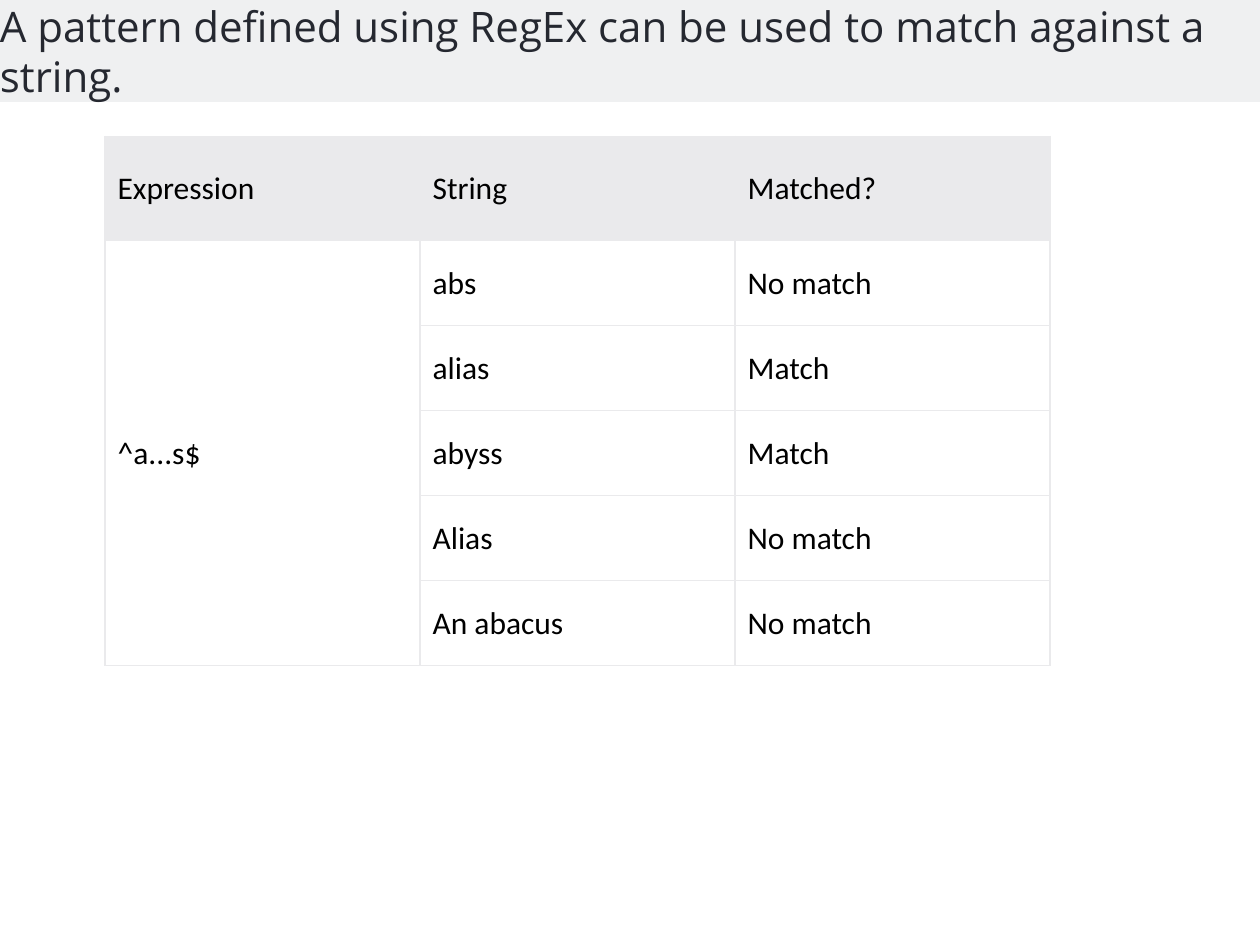
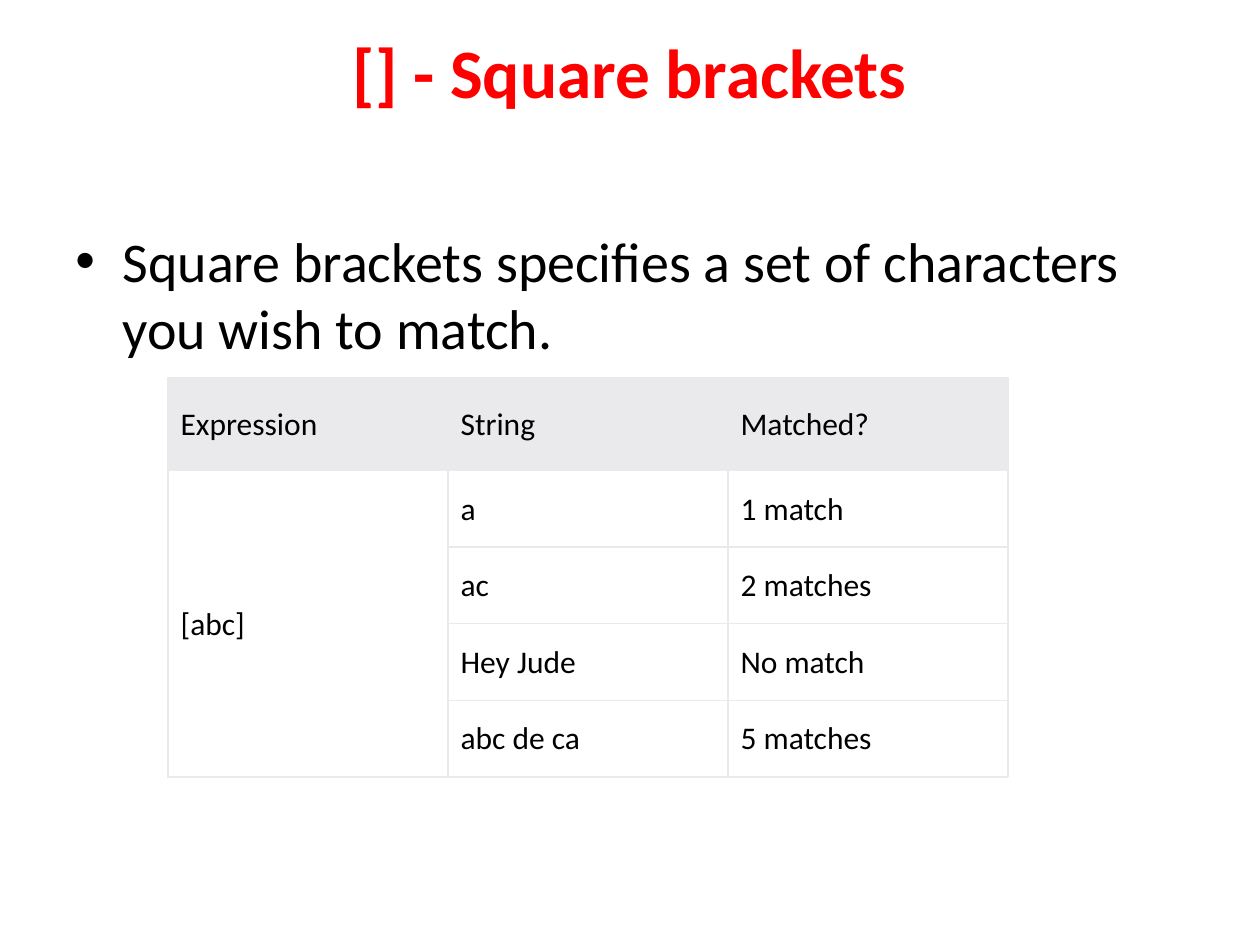
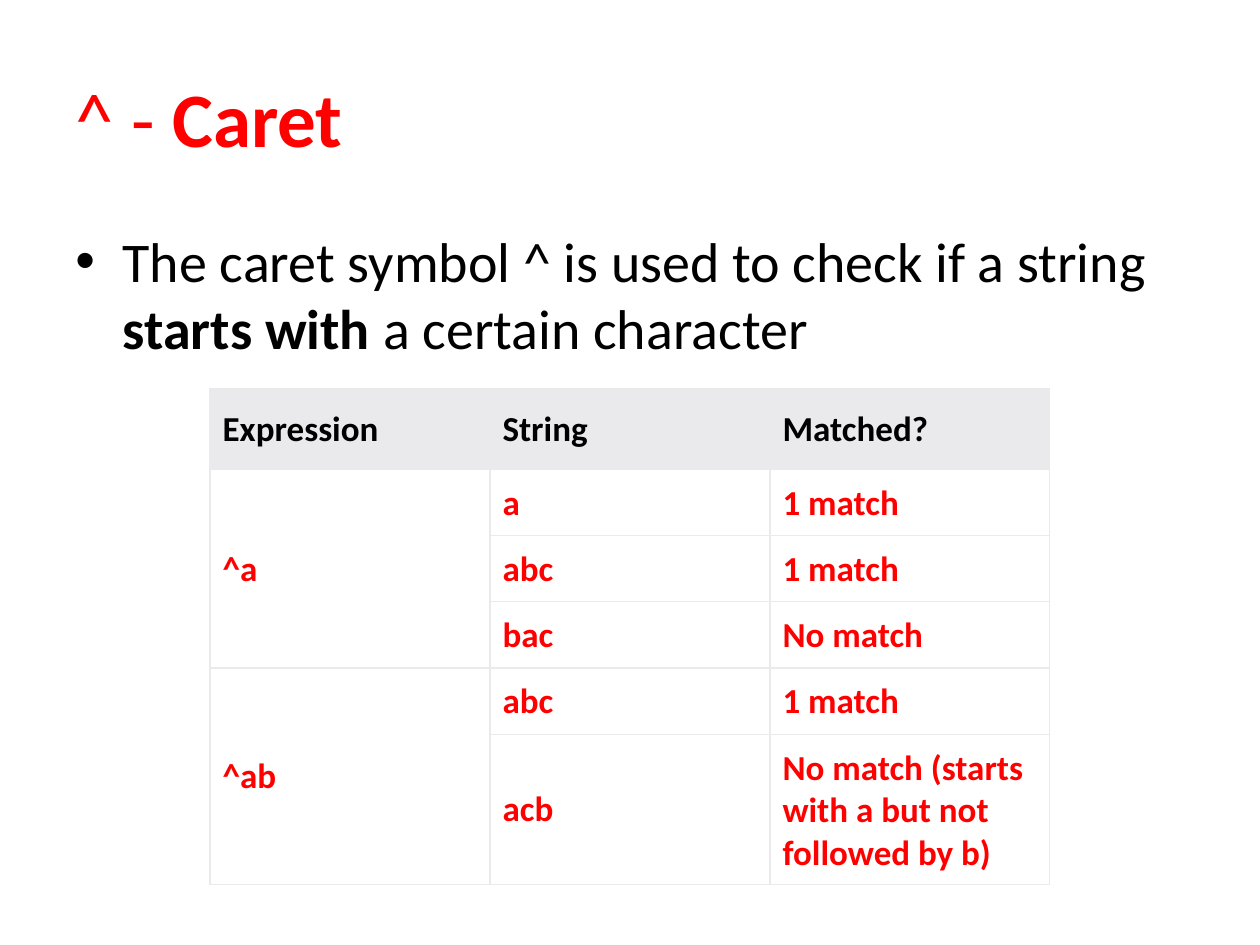
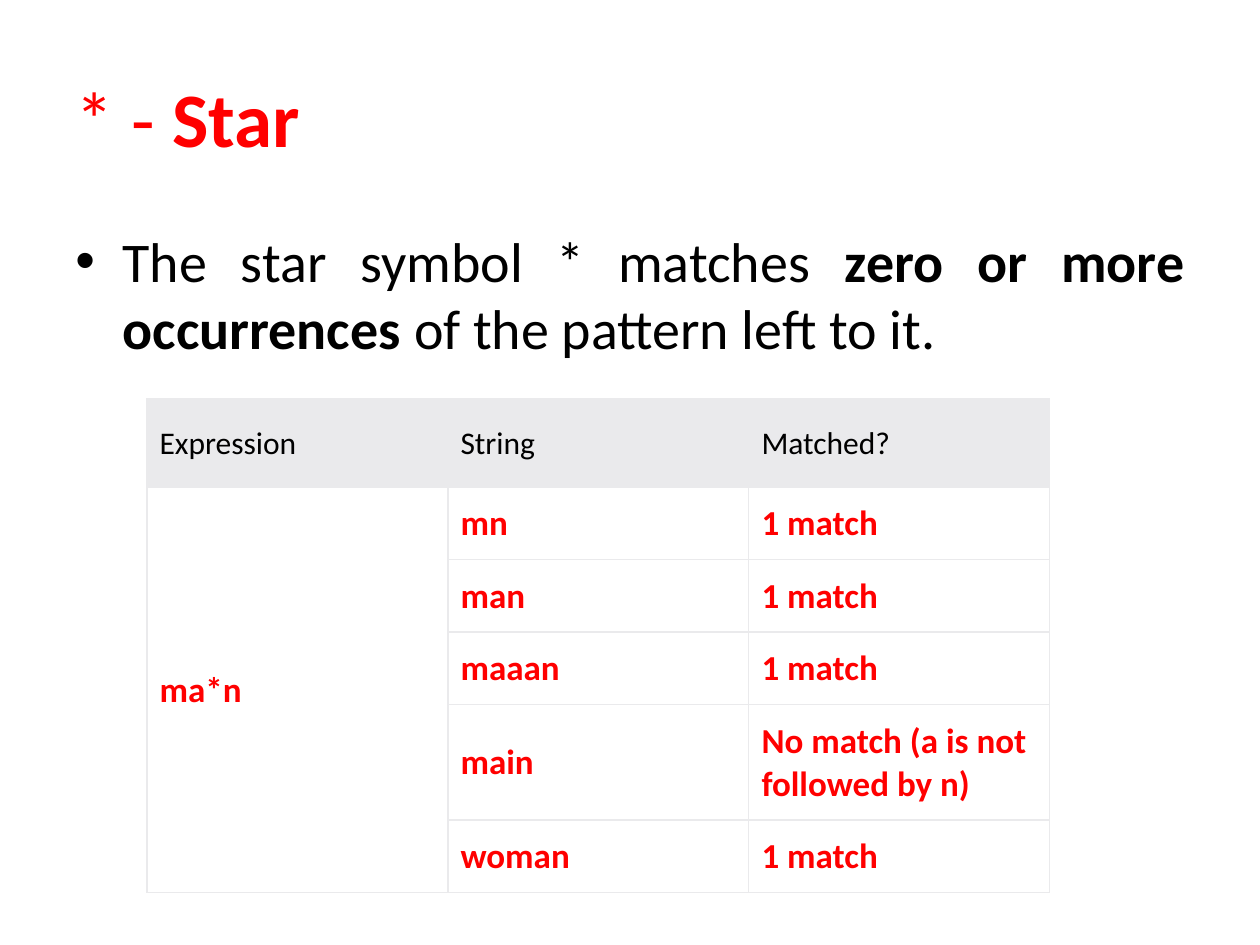
import pptx
import pptx.dml.color
import pptx.enum.shapes
import pptx.enum.text
import pptx.oxml.ns
import pptx.util
from lxml import etree

RGBColor = pptx.dml.color.RGBColor
Align = pptx.enum.text.PP_ALIGN
Anchor = pptx.enum.text.MSO_ANCHOR

BLACK = RGBColor(0x00, 0x00, 0x00)
WHITE = RGBColor(0xFF, 0xFF, 0xFF)
RED = RGBColor(0xFF, 0x00, 0x00)
GRID = RGBColor(0xEA, 0xEA, 0xEC)
BAND = RGBColor(0xEF, 0xF0, 0xF1)
INK = RGBColor(0x25, 0x28, 0x30)

PX = 7620  # 120 px to the inch
PAGE_WIDTH, PAGE_HEIGHT = 1200, 900
TITLE_ONLY, BLANK = 5, 6
HEADER = ("Expression", "String", "Matched?")
HEADER_MARGINS = (12, 19, 10, 18)
BODY_MARGINS = (12, 12, 10, 11)


def px(length):
    return pptx.util.Emu(round(length * PX))


def add_element(parent, tag, **attributes):
    return etree.SubElement(parent, pptx.oxml.ns.qn(tag), attributes)


def set_margins(target, left, top, right, bottom):
    target.margin_left, target.margin_top = px(left), px(top)
    target.margin_right, target.margin_bottom = px(right), px(bottom)


class Lesson:
    """Holds the deck, its style and the current page."""

    font = "Calibri"

    def __init__(self):
        self.deck = pptx.Presentation()
        self.deck.slide_width = px(PAGE_WIDTH)
        self.deck.slide_height = px(PAGE_HEIGHT)
        self.page = None

    def new_page(self, layout=TITLE_ONLY):
        self.page = self.deck.slides.add_slide(self.deck.slide_layouts[layout])

    def add_spans(self, para, spans, size, color, font=font):
        """Add (text, bold) spans to a paragraph."""
        for text, bold in spans:
            span = para.add_run()
            span.text = text
            span.font.name = font
            span.font.size = pptx.util.Pt(size)
            span.font.bold = bold
            span.font.color.rgb = color

    def title(self, spans, size=44, align=Align.LEFT):
        box = self.page.shapes.title
        box.left, box.top, box.width, box.height = px(60), px(36), px(1080), px(150)
        frame = box.text_frame
        frame.auto_size = pptx.enum.text.MSO_AUTO_SIZE.NONE
        frame.vertical_anchor = Anchor.MIDDLE
        para = frame.paragraphs[0]
        para.alignment = align
        self.add_spans(para, spans, size, RED)
        return para

    def bullet(self, spans, width=1080, height=160, align=Align.LEFT):
        box = self.page.shapes.add_textbox(px(60), px(210), px(width), px(height))
        box.text_frame.word_wrap = True
        para = box.text_frame.paragraphs[0]
        para.alignment = align
        para.space_before = pptx.util.Pt(6.4)
        self.add_spans(para, spans, 32, BLACK)
        properties = para._p.get_or_add_pPr()
        properties.set("marL", str(px(45)))
        properties.set("indent", str(px(-45)))
        add_element(properties, "a:buFont", typeface="Arial")
        add_element(properties, "a:buChar", char="•")

    def band(self, text, height):
        box = self.page.shapes.add_shape(
            pptx.enum.shapes.MSO_SHAPE.RECTANGLE, 0, 0, px(PAGE_WIDTH), px(height))
        box.shadow.inherit = False
        box.fill.solid()
        box.fill.fore_color.rgb = BAND
        box.line.fill.background()
        frame = box.text_frame
        frame.word_wrap = True
        frame.vertical_anchor = Anchor.MIDDLE
        set_margins(frame, 0, 0, 0, 0)
        frame.paragraphs[0].alignment = Align.LEFT
        self.add_spans(frame.paragraphs[0], [(text, False)], 24, INK, "Open Sans")

    def borders(self, cell):
        properties = cell._tc.get_or_add_tcPr()
        for side in ("a:lnL", "a:lnR", "a:lnT", "a:lnB"):
            line = add_element(properties, side, w=str(pptx.util.Pt(0.75)))
            add_element(add_element(line, "a:solidFill"), "a:srgbClr", val=str(GRID))

    def cell(self, cell, text, margins, fill, size, color, bold):
        self.borders(cell)
        cell.fill.solid()
        cell.fill.fore_color.rgb = fill
        cell.vertical_anchor = Anchor.MIDDLE
        set_margins(cell, *margins)
        if text:
            self.add_spans(cell.text_frame.paragraphs[0], [(text, bold)], size, color)

    def match_table(self, left, top, width, heights, groups,
                    header_style=(18, BLACK, False), body_style=(18, BLACK, False)):
        """Draw a table whose groups are (expression, [(string, result), ...])."""
        frame = self.page.shapes.add_table(
            len(heights), len(HEADER), px(left), px(top), px(width), px(sum(heights)))
        table = frame.table
        table.horz_banding = False
        for column in table.columns:
            column.width = px(width / len(HEADER))
        for row, height in zip(table.rows, heights):
            row.height = px(height)
        for column, text in enumerate(HEADER):
            self.cell(table.cell(0, column), text, HEADER_MARGINS, GRID, *header_style)
        first = 1
        for expression, results in groups:
            for offset, result in enumerate(results):
                texts = (None if offset else expression, *result)
                for column, text in enumerate(texts):
                    self.cell(table.cell(first + offset, column), text,
                              BODY_MARGINS, WHITE, *body_style)
            last = first + len(results) - 1
            table.cell(first, 0).merge(table.cell(last, 0))
            first = last + 1


def main():
    lesson = Lesson()
    strong = (20, RED, True)

    lesson.new_page(BLANK)
    lesson.match_table(100, 130, 900, [99] + [81] * 5, [
        ("^a...s$", [("abs", "No match"), ("alias", "Match"), ("abyss", "Match"),
                     ("Alias", "No match"), ("An abacus", "No match")]),
    ])
    lesson.band("A pattern defined using RegEx can be used to match against a string.", 97)

    lesson.new_page()
    heading = lesson.title([("[] - Square brackets", True)], 39.6, Align.CENTER)
    heading.add_line_break()
    lesson.bullet([("Square brackets specifies a set of characters you wish to match.", False)])
    lesson.match_table(160, 360, 800, [88] + [73] * 4, [
        ("[abc]", [("a", "1 match"), ("ac", "2 matches"),
                   ("Hey Jude", "No match"), ("abc de ca", "5 matches")]),
    ])

    lesson.new_page()
    lesson.title([("^ - ", False), ("Caret", True)])
    lesson.bullet([("The caret symbol ^ is used to check if a string ", False),
                   ("starts with", True), (" a certain character", False)],
                  width=1060, height=150)
    lesson.match_table(200, 370, 800, [76] + [62] * 4 + [137], [
        ("^a", [("a", "1 match"), ("abc", "1 match"), ("bac", "No match")]),
        ("^ab", [("abc", "1 match"),
                 ("acb", "No match (starts with a but not followed by b)")]),
    ], header_style=(20, BLACK, True), body_style=strong)

    lesson.new_page()
    lesson.title([("* - ", False), ("Star", True)])
    lesson.bullet([("The star symbol * matches ", False),
                   ("zero or more occurrences", True),
                   (" of the pattern left to it.", False)], align=Align.JUSTIFY)
    lesson.match_table(140, 380, 860, [84, 69, 69, 69, 110, 69], [
        ("ma*n", [("mn", "1 match"), ("man", "1 match"), ("maaan", "1 match"),
                  ("main", "No match (a is not followed by n)"), ("woman", "1 match")]),
    ], body_style=strong)

    lesson.deck.save("out.pptx")


if __name__ == "__main__":
    main()
